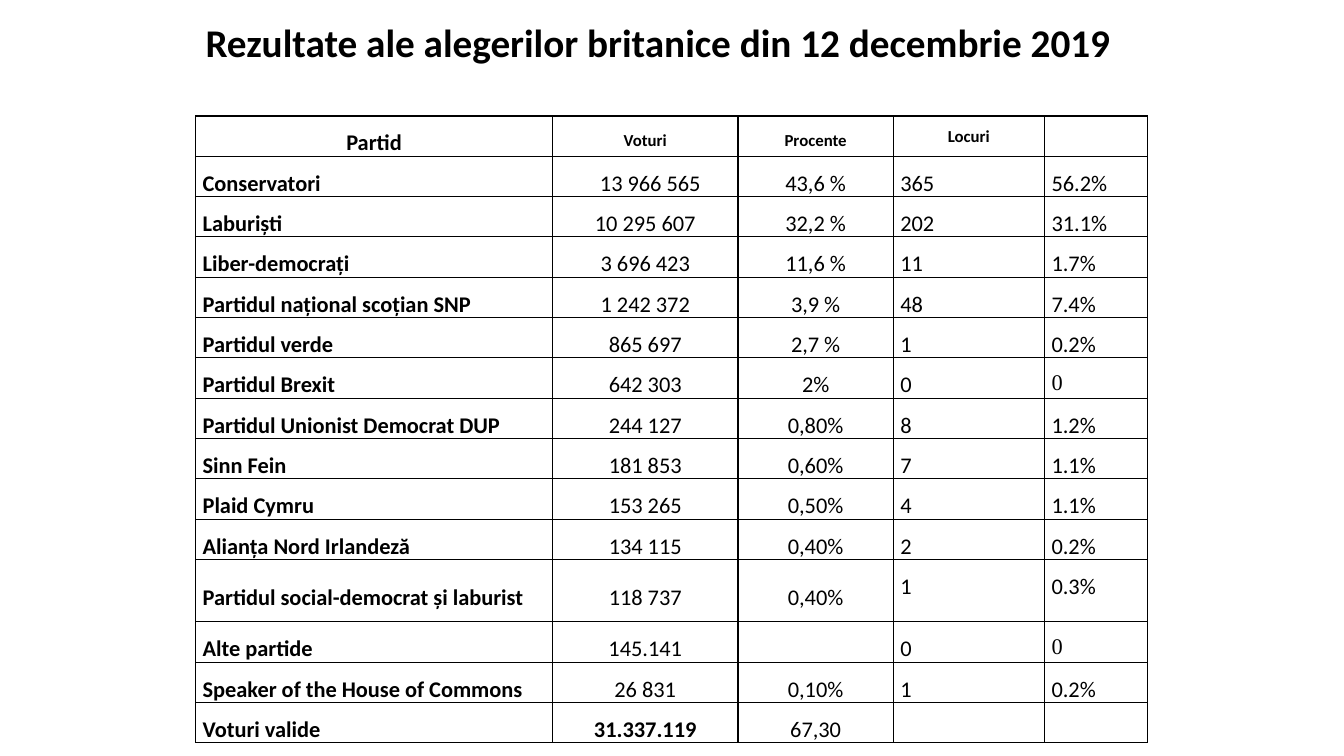
from dataclasses import dataclass

from lxml import etree
from pptx import Presentation
from pptx.dml.color import RGBColor
from pptx.enum.text import MSO_ANCHOR, PP_ALIGN
from pptx.oxml.ns import qn
from pptx.util import Inches, Pt

LEFT, CENTER, JUSTIFY = PP_ALIGN.LEFT, PP_ALIGN.CENTER, PP_ALIGN.JUSTIFY
TOP, MIDDLE = MSO_ANCHOR.TOP, MSO_ANCHOR.MIDDLE


@dataclass(frozen=True)
class Theme:
    ink: str = "000000"
    paper: str = "FFFFFF"
    font: str = "Calibri"
    serif: str = "Times New Roman"
    title: int = 28
    body: int = 16
    small: int = 12
    rule: int = 1


THEME = Theme()

TITLE = "Rezultate ale alegerilor britanice din 12 decembrie 2019"
HEAD = ("Partid", "Voturi", "Procente", "Locuri", "")
RESULTS = [
    ("Conservatori", "13 966 565", "43,6 %", "365", "56.2%"),
    ("Laburiști", "10 295 607", "32,2 %", "202", "31.1%"),
    ("Liber-democrați", "3 696 423", "11,6 %", "11", "1.7%"),
    ("Partidul național scoțian SNP", "1 242 372", "3,9 %", "48", "7.4%"),
    ("Partidul verde", "865 697", "2,7 %", "1", "0.2%"),
    ("Partidul Brexit", "642 303", "2%", "0", "0"),
    ("Partidul Unionist Democrat DUP", "244 127", "0,80%", "8", "1.2%"),
    ("Sinn Fein", "181 853", "0,60%", "7", "1.1%"),
    ("Plaid Cymru", "153 265", "0,50%", "4", "1.1%"),
    ("Alianța Nord Irlandeză", "134 115", "0,40%", "2", "0.2%"),
    ("Partidul social-democrat și laburist", "118 737", "0,40%", "1", "0.3%"),
    ("Alte partide", "145.141", "", "0", "0"),
    ("Speaker of the House of Commons", "26 831", "0,10%", "1", "0.2%"),
    ("Voturi valide", "31.337.119", "67,30", "", ""),
]
WIDTHS = (3.54, 1.84, 1.54, 1.5, 1.02)
ALIGNS = (LEFT, CENTER, CENTER, JUSTIFY, JUSTIFY)
ANCHORS = (MIDDLE, MIDDLE, MIDDLE, TOP, TOP)
ROW, TALL = 0.4, 0.62
TALL_ROW = 11


def set_font(para, size, bold, name=THEME.font):
    font = para.font
    font.name, font.size, font.bold = name, Pt(size), bold
    font.color.rgb = RGBColor.from_string(THEME.ink)


def add_title(slide):
    box = slide.shapes.add_textbox(
        Inches(1.94), Inches(0.13), Inches(9.45), Inches(0.63))
    frame = box.text_frame
    frame.word_wrap = True
    frame.vertical_anchor = MIDDLE
    para = frame.paragraphs[0]
    para.text = TITLE
    para.line_spacing = 0.9
    set_font(para, THEME.title, True)


def add_rules(cell):
    """Draw a line on all four sides of a cell."""
    props = cell._tc.get_or_add_tcPr()
    for side in ("a:lnL", "a:lnR", "a:lnT", "a:lnB"):
        line = etree.SubElement(props, qn(side), w=str(Pt(THEME.rule)))
        fill = etree.SubElement(line, qn("a:solidFill"))
        etree.SubElement(fill, qn("a:srgbClr"), val=THEME.ink)


def fill_cell(cell, text, align, anchor, size, bold, name):
    add_rules(cell)
    cell.fill.solid()
    cell.fill.fore_color.rgb = RGBColor.from_string(THEME.paper)
    cell.margin_left = cell.margin_right = Inches(0.07)
    cell.margin_top = cell.margin_bottom = 0
    cell.vertical_anchor = anchor
    para = cell.text_frame.paragraphs[0]
    para.text = text
    para.alignment = align
    if text:
        para.line_spacing = 1.5
    set_font(para, size, bold, name)


def add_results(slide):
    rows = [HEAD] + RESULTS
    table = slide.shapes.add_table(
        len(rows), len(WIDTHS), Inches(1.94), Inches(1.15),
        Inches(sum(WIDTHS)), Inches(ROW * (len(rows) - 1) + TALL)).table
    table.first_row = table.horz_banding = False
    for col, width in zip(table.columns, WIDTHS):
        col.width = Inches(width)
    for r, row in enumerate(rows):
        table.rows[r].height = Inches(TALL if r == TALL_ROW else ROW)
        head, total = r == 0, r == len(rows) - 1
        for c, text in enumerate(row):
            fill_cell(
                table.cell(r, c), text,
                CENTER if head else ALIGNS[c], ANCHORS[c],
                THEME.small if head and c else THEME.body,
                head or c == 0 or (total and c == 1),
                THEME.serif if c == 4 and text == "0" else THEME.font)
    # The first vote count sits slightly right of centre.
    table.cell(1, 1).margin_left = Inches(0.17)


def main():
    deck = Presentation()
    deck.slide_width, deck.slide_height = Inches(13.33), Inches(7.5)
    slide = deck.slides.add_slide(deck.slide_layouts[6])
    add_title(slide)
    add_results(slide)
    deck.save("out.pptx")


if __name__ == "__main__":
    main()
